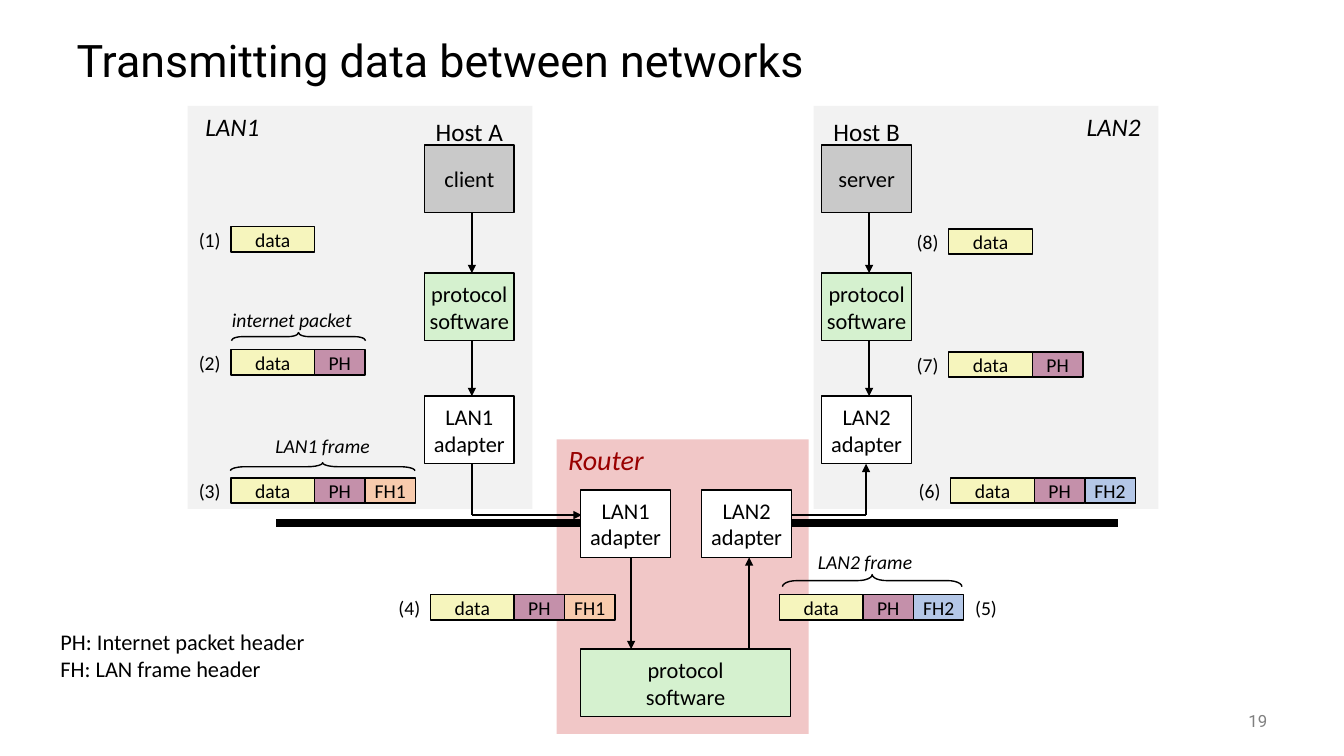
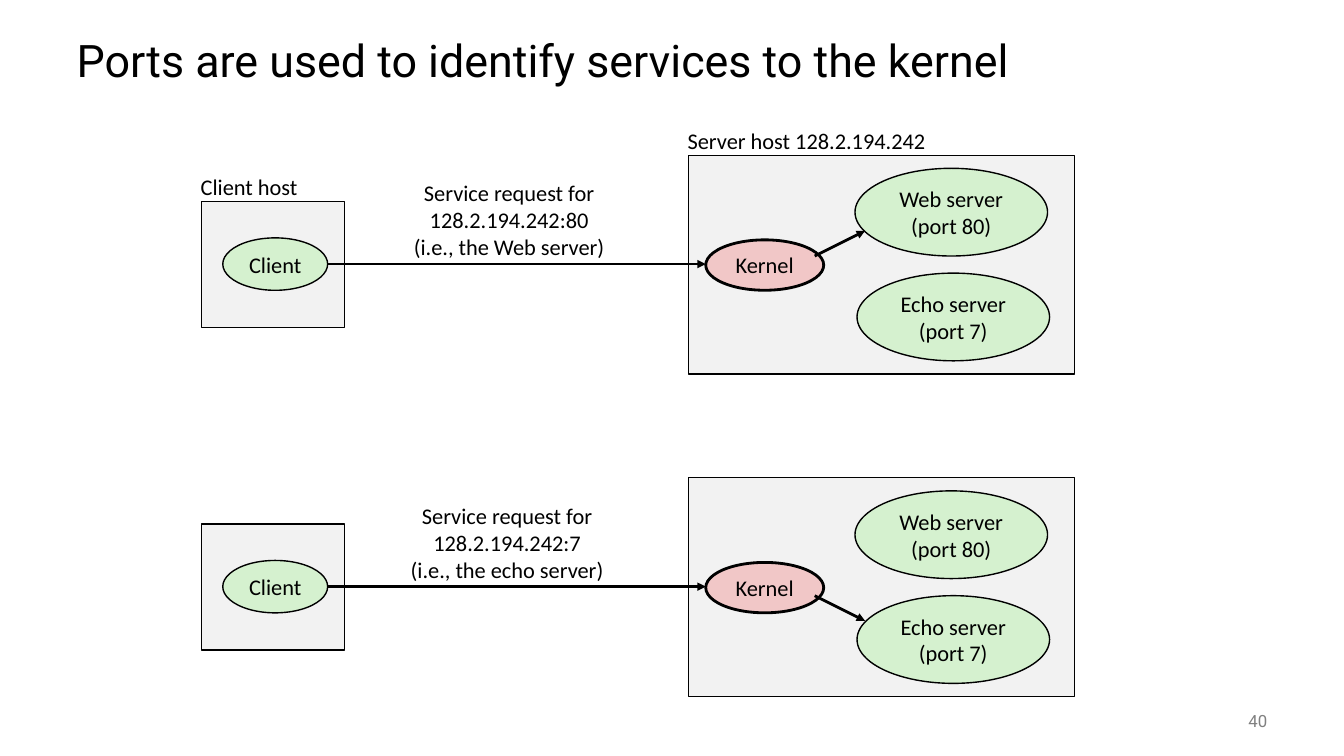
"""Build two networking slides: data crossing networks, and ports naming services."""
from pptx import Presentation
from pptx.dml.color import RGBColor
from pptx.enum.shapes import MSO_CONNECTOR, MSO_SHAPE
from pptx.enum.text import MSO_ANCHOR, PP_ALIGN
from pptx.oxml.ns import qn
from pptx.util import Inches, Pt
from lxml.etree import SubElement

BLACK = RGBColor(0x00, 0x00, 0x00)
WHITE = RGBColor(0xFF, 0xFF, 0xFF)
NUMBER_GREY = RGBColor(0x80, 0x80, 0x80)
PANEL_GREY = RGBColor(0xF2, 0xF2, 0xF2)
PROGRAM_GREY = RGBColor(0xC9, 0xC9, 0xC9)
PINK = RGBColor(0xF1, 0xC7, 0xC7)
GREEN = RGBColor(0xD5, 0xF1, 0xCF)
YELLOW = RGBColor(0xF6, 0xF5, 0xBD)
MAUVE = RGBColor(0xC4, 0x90, 0xAA)
PEACH = RGBColor(0xF8, 0xCB, 0xAD)
BLUE = RGBColor(0xB4, 0xC7, 0xE7)
DARK_RED = RGBColor(0x99, 0x00, 0x00)

BODY = {"name": "Calibri", "size": Pt(16)}
SMALL = BODY | {"size": Pt(14)}
CAPTION = SMALL | {"italic": True}
HOST_NAME = BODY | {"size": Pt(18)}
LAN_NAME = HOST_NAME | {"italic": True}
ROUTER_NAME = LAN_NAME | {"size": Pt(20)}
TITLE = {"name": "Roboto", "size": Pt(32)}
NUMBER = {"name": "Roboto", "size": Pt(12)}

PANELS = [
    (8.07, 1.05, 3.42, 4, PANEL_GREY),
    (1.86, 1.05, 3.42, 4, PANEL_GREY),
    (5.52, 4.36, 2.5, 2.92, PINK),
]
BUSES = [((2.74, 5.19), (5.99, 5.19)), ((7.84, 5.19), (11.09, 5.19))]
WIRES = [((4.68, 4.6), (4.68, 5.11)), ((7.84, 5.11), (8.59, 5.11))]
FLOWS = [
    ((4.68, 5.11), (5.77, 5.11)),
    ((8.59, 5.11), (8.59, 4.6)),
    ((6.26, 5.53), (6.26, 6.44)),
    ((7.43, 6.44), (7.43, 5.53)),
]
BOX_W, BOX_H = 0.89, 0.67
LEVELS = [(1.44, PROGRAM_GREY), (2.71, GREEN), (3.93, WHITE)]
HOSTS = [
    ("Host A", 4.21, ["client", "protocol\nsoftware", "LAN1\nadapter"]),
    ("Host B", 8.15, ["server", "protocol\nsoftware", "LAN2\nadapter"]),
]
ROUTER_PARTS = [
    ("LAN1\nadapter", 5.76, 4.86, BOX_W, WHITE),
    ("LAN2\nadapter", 6.96, 4.86, BOX_W, WHITE),
    ("protocol\nsoftware", 5.76, 6.44, 2.08, GREEN),
]
FIELDS = {"data": (0.83, YELLOW), "PH": (0.5, MAUVE),
          "FH1": (0.5, PEACH), "FH2": (0.5, BLUE)}
STAGES = [
    ("(1)", 2.29, 2.25, ["data"]),
    ("(2)", 2.29, 3.47, ["data", "PH"]),
    ("(3)", 2.29, 4.74, ["data", "PH", "FH1"]),
    ("(4)", 4.27, 5.9, ["data", "PH", "FH1"]),
    ("(5)", 7.73, 5.9, ["data", "PH", "FH2"]),
    ("(6)", 9.43, 4.74, ["data", "PH", "FH2"]),
    ("(7)", 9.41, 3.49, ["data", "PH"]),
    ("(8)", 9.41, 2.27, ["data"]),
]
NUMBERED_ON_RIGHT = {"(5)"}
BRACES = [
    (2.96, 3.34, 1.33, 0.08, 1.33),
    (3.2, 4.63, 1.83, 0.08, 1.83),
    (8.65, 5.76, 1.78, 0.12, 1.19),
]
LABELS = [
    ("LAN1", 1.93, 1.05, 0.75, 0.4, LAN_NAME, BLACK),
    ("LAN2", 10.67, 1.05, 0.75, 0.4, LAN_NAME, BLACK),
    ("Router", 5.52, 4.34, 0.98, 0.44, ROUTER_NAME, DARK_RED),
    ("internet packet", 2.18, 3, 1.43, 0.34, CAPTION, BLACK),
    ("LAN1 frame", 2.62, 4.25, 1.16, 0.34, CAPTION, BLACK),
    ("LAN2 frame", 8, 5.4, 1.16, 0.34, CAPTION, BLACK),
]
LEGEND = "PH: Internet packet header\nFH: LAN frame header"

SCENARIO_STEP = 3.2
HOST_PANELS = [(2, 2, 1.42, 1.25), (6.83, 1.54, 3.83, 2.17)]
HOST_TITLES = [
    ("Client host", 1.99, 1.67),
    ("Server host 128.2.194.242", 6.82, 1.21),
]
PROCESSES = [
    ("Client", 2.21, 2.36, 1.04, 0.52, GREEN, 1),
    ("Kernel", 7, 2.38, 1.17, 0.5, PINK, 2),
    ("Web server\n(port 80)", 8.48, 1.67, 1.91, 0.87, GREEN, 1),
    ("Echo server\n(port 7)", 8.5, 2.71, 1.91, 0.87, GREEN, 1),
]
REQUESTS = [
    ("Service request for\n128.2.194.242:80\n(i.e., the Web server)", 3.6, 2.54, 2.29),
    ("Service request for\n128.2.194.242:7\n(i.e., the echo server)", 3.58, 2.71, 2.96),
]


def write(holder, text, font, color=BLACK, align=PP_ALIGN.CENTER, spacing=None):
    frame = holder.text_frame
    settings = {"word_wrap": True, "vertical_anchor": MSO_ANCHOR.MIDDLE,
                "margin_left": 0, "margin_right": 0,
                "margin_top": 0, "margin_bottom": 0}
    for key, value in settings.items():
        setattr(frame, key, value)
    frame.text = text
    for paragraph in frame.paragraphs:
        paragraph.alignment = align
        paragraph.line_spacing = spacing
        for key, value in font.items():
            setattr(paragraph.font, key, value)
        paragraph.font.color.rgb = color


def label(slide, text, left, top, width, height, font, color=BLACK, **layout):
    holder = slide.shapes.add_textbox(*map(Inches, (left, top, width, height)))
    write(holder, text, font, color, **layout)


def block(slide, place, fill=None, kind=MSO_SHAPE.RECTANGLE, weight=1, text="", font=BODY):
    shape = slide.shapes.add_shape(kind, *map(Inches, place))
    shape.shadow.inherit = False
    if fill is None:
        shape.fill.background()
    else:
        shape.fill.solid()
        shape.fill.fore_color.rgb = fill
    if weight:
        shape.line.color.rgb = BLACK
        shape.line.width = Pt(weight)
    else:
        shape.line.fill.background()
    if text:
        write(shape, text, font)
    return shape


def connect(slide, start, end, weight=1, arrow=True):
    line = slide.shapes.add_connector(MSO_CONNECTOR.STRAIGHT, *map(Inches, start + end))
    line.line.color.rgb = BLACK
    line.line.width = Pt(weight)
    properties = line.element.spPr
    if arrow:
        SubElement(properties.find(qn("a:ln")), qn("a:tailEnd"), type="triangle")
    SubElement(properties, qn("a:effectLst"))


def brace(slide, center_x, center_y, span, depth, curl):
    place = (center_x - depth / 2, center_y - span / 2, depth, span)
    shape = block(slide, place, kind=MSO_SHAPE.LEFT_BRACE)
    shape.rotation = 90
    shape.adjustments[0] = curl


def packet(slide, number, left, top, fields):
    right = left
    for field in fields:
        width, fill = FIELDS[field]
        block(slide, (right, top, width, 0.25), fill, text=field, font=SMALL)
        right += width
    number_left = right if number in NUMBERED_ON_RIGHT else left - 0.43
    label(slide, number, number_left, top - 0.04, 0.44, 0.33, SMALL)


def host(slide, name, left, parts):
    label(slide, name, left, 1.1, BOX_W, 0.4, HOST_NAME)
    for part, (top, fill) in zip(parts, LEVELS):
        block(slide, (left, top, BOX_W, BOX_H), fill, text=part)
    arrow_x = left + 0.47
    for (upper, _), (lower, _) in zip(LEVELS, LEVELS[1:]):
        connect(slide, (arrow_x, upper + BOX_H), (arrow_x, lower))


def new_slide(deck, title, number):
    slide = deck.slides.add_slide(deck.slide_layouts[6])
    label(slide, title, 0.76, 0.25, 11.8, 0.75, TITLE, align=PP_ALIGN.LEFT, spacing=0.9)
    label(slide, number, 11.67, 6.95, 0.9, 0.4, NUMBER, NUMBER_GREY, align=PP_ALIGN.RIGHT)
    return slide


def build_networks(deck):
    slide = new_slide(deck, "Transmitting data between networks", "19")
    for *place, fill in PANELS:
        block(slide, place, fill, weight=0)
    for start, end in BUSES:
        connect(slide, start, end, weight=6, arrow=False)
    for start, end in WIRES:
        connect(slide, start, end, arrow=False)
    for start, end in FLOWS:
        connect(slide, start, end)
    for name, left, parts in HOSTS:
        host(slide, name, left, parts)
    for text, left, top, width, fill in ROUTER_PARTS:
        block(slide, (left, top, width, BOX_H), fill, text=text)
    for stage in STAGES:
        packet(slide, *stage)
    for outline in BRACES:
        brace(slide, *outline)
    for caption in LABELS:
        label(slide, *caption)
    label(slide, LEGEND, 0.6, 6.18, 2.7, 0.64, BODY, align=PP_ALIGN.LEFT)


def build_ports(deck):
    slide = new_slide(deck, "Ports are used to identify services to the kernel", "40")
    for text, left, top in HOST_TITLES:
        label(slide, text, left, top, 2.63, 0.37, BODY, align=PP_ALIGN.LEFT)
    for index, (request, request_left, start_y, end_y) in enumerate(REQUESTS):
        shift = index * SCENARIO_STEP
        for left, top, width, height in HOST_PANELS:
            block(slide, (left, top + shift, width, height), PANEL_GREY)
        connect(slide, (3.25, 2.62 + shift), (7, 2.62 + shift), weight=2)
        for text, left, top, width, height, fill, weight in PROCESSES:
            block(slide, (left, top + shift, width, height), fill,
                  MSO_SHAPE.OVAL, weight, text)
        connect(slide, (8.08, start_y + shift), (8.58, end_y + shift), weight=2)
        label(slide, request, request_left, 1.73 + shift, 2.9, 0.9, BODY)


def main():
    deck = Presentation()
    deck.slide_width, deck.slide_height = Inches(13.33), Inches(7.5)
    build_networks(deck)
    build_ports(deck)
    deck.save("out.pptx")


if __name__ == "__main__":
    main()
